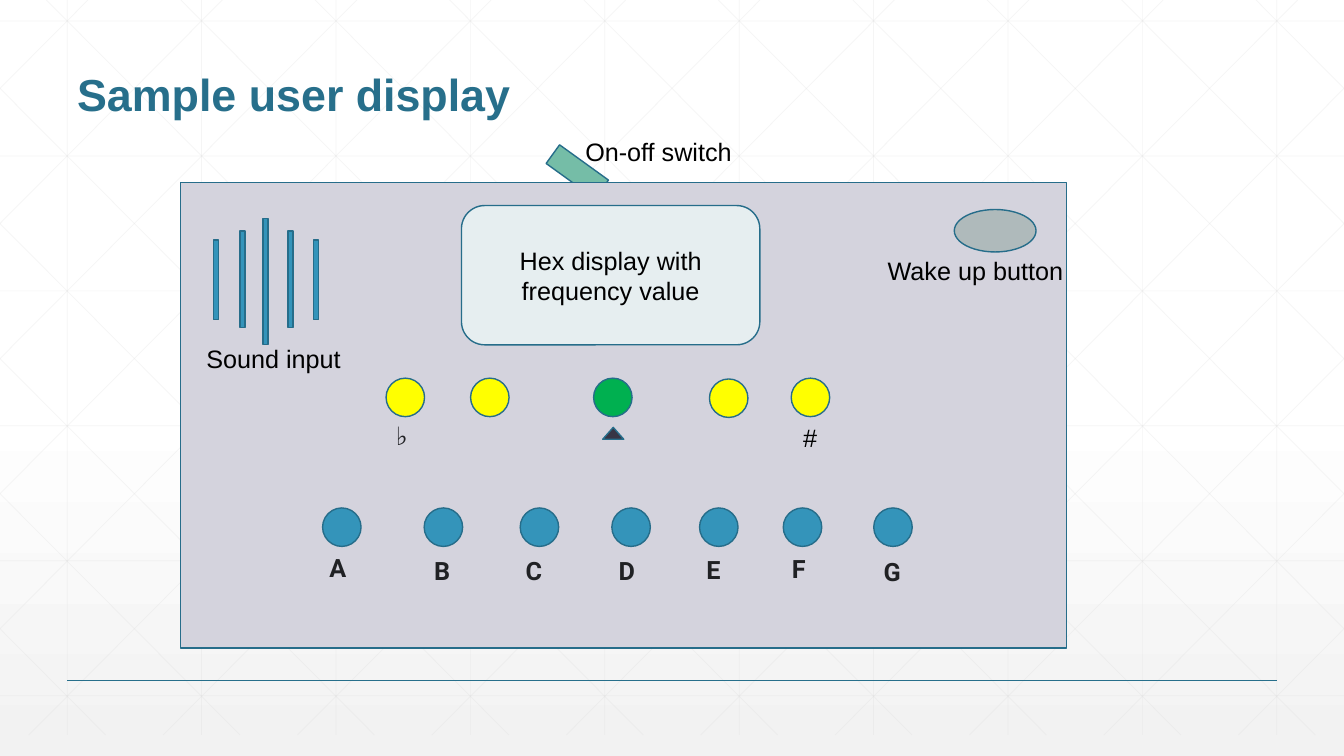
"""Build the slide that shows a sample user display for a note tuner."""
from lxml.etree import SubElement
from pptx import Presentation
from pptx.dml.color import RGBColor
from pptx.enum.shapes import MSO_CONNECTOR, MSO_SHAPE
from pptx.enum.text import MSO_ANCHOR, MSO_AUTO_SIZE, PP_ALIGN
from pptx.oxml.ns import qn
from pptx.util import Cm, Pt

WHITE = RGBColor(0xFF, 0xFF, 0xFF)
PALE_GREY = RGBColor(0xF2, 0xF2, 0xF2)
GRID_GREY = RGBColor(0xD9, 0xD9, 0xD9)
TITLE_BLUE = RGBColor(0x27, 0x6F, 0x8B)
OUTLINE = RGBColor(0x26, 0x6D, 0x8A)
BLUE = RGBColor(0x34, 0x94, 0xBA)
TEAL = RGBColor(0x75, 0xBD, 0xA7)
PANEL_GREY = RGBColor(0xD4, 0xD3, 0xDD)
SCREEN = RGBColor(0xE6, 0xEE, 0xF0)
BUTTON_GREY = RGBColor(0xAF, 0xBA, 0xBB)
MARKER_DARK = RGBColor(0x37, 0x35, 0x45)
YELLOW = RGBColor(0xFF, 0xFF, 0x00)
GREEN = RGBColor(0x00, 0xB0, 0x50)
BLACK = RGBColor(0, 0, 0)
NOTE_DARK = RGBColor(0x20, 0x21, 0x24)

TITLE = "Sample user display"
SCREEN_TEXT = "Hex display with frequency value"
LABELS = [
    ("Sound input", 4.95, 8.53, 3.94),
    ("Wake up button", 22.12, 6.3, 4.98),
    ("On-off switch", 14.5, 3.3, 4.24),
    ("#", 19.99, 10.52, 0.86),
]
FLAT = ("\u266d", 9.73, 10.46, 0.81)
NOTES = [
    ("A", 8.05, 13.79, 0.94),
    ("B", 10.69, 13.87, 0.91),
    ("C", 13.0, 13.87, 0.94),
    ("D", 15.34, 13.87, 0.94),
    ("E", 17.55, 13.84, 0.86),
    ("F", 19.71, 13.82, 0.86),
    ("G", 22.02, 13.89, 0.94),
]
NOTE_LIGHTS = [8.13, 10.69, 13.11, 15.42, 17.63, 19.74, 22.02]
PITCH_LIGHTS = [
    (9.73, 9.53, YELLOW),
    (11.86, 9.53, YELLOW),
    (14.96, 9.53, GREEN),
    (17.88, 9.55, YELLOW),
    (19.94, 9.53, YELLOW),
]
SOUND_BARS = [(5.38, 6.05, 2.01), (6.05, 5.82, 2.44), (6.63, 5.51, 3.18),
              (7.26, 5.82, 2.44), (7.9, 6.05, 2.01)]

WIDTH, HEIGHT = 33.87, 19.05
GRID_BOTTOM = 18.52
COLUMN_PITCH, ROW_PITCH = WIDTH / 10, 3.4
SLOPE = 1.005
LIGHT_SIZE = 0.97


def add_line(start, end, color, points, opacity=None):
    line = slide.shapes.add_connector(
        MSO_CONNECTOR.STRAIGHT, *(Cm(value) for value in (*start, *end)))
    line.line.color.rgb = color
    line.line.width = Pt(points)
    if opacity:
        color_xml = line._element.spPr.find(".//" + qn("a:srgbClr"))
        SubElement(color_xml, qn("a:alpha")).set("val", str(opacity * 1000))
    SubElement(line._element.spPr, qn("a:effectLst"))


def add_part(preset, left, top, width, height, fill):
    part = slide.shapes.add_shape(
        preset, Cm(left), Cm(top), Cm(width), Cm(height))
    part.shadow.inherit = False
    part.fill.solid()
    part.fill.fore_color.rgb = fill
    part.line.color.rgb = OUTLINE
    part.line.width = Pt(1)
    return part


def format_text(frame, size, color, font="Arial", bold=False):
    for run in frame.paragraphs[0].runs:
        run.font.name = font
        run.font.size = Pt(size)
        run.font.bold = bold
        run.font.color.rgb = color


def add_label(text, left, top, width, **style):
    frame = slide.shapes.add_textbox(
        Cm(left), Cm(top), Cm(width), Cm(1.03)).text_frame
    frame.text = text
    frame.word_wrap = False
    frame.auto_size = MSO_AUTO_SIZE.SHAPE_TO_FIT_TEXT
    format_text(frame, 18, **style)


def draw_grid():
    spans = []
    for column in range(10):
        x = COLUMN_PITCH * (column + 0.5)
        spans.append(((x, 0), (x, GRID_BOTTOM)))
    for row in range(6):
        y = 0.53 + ROW_PITCH * row
        spans.append(((0, y), (WIDTH, y)))
    for step in range(-5, 10):
        origin = 1.17 + COLUMN_PITCH * step
        left = max(origin, 0)
        right = min(origin + GRID_BOTTOM / SLOPE, WIDTH)
        top, bottom = ((x - origin) * SLOPE for x in (left, right))
        spans.append(((left, top), (right, bottom)))
        spans.append(((WIDTH - left, top), (WIDTH - right, bottom)))
    for start, end in spans:
        add_line(start, end, GRID_GREY, 0.5, opacity=25)


deck = Presentation()
deck.slide_width, deck.slide_height = Cm(WIDTH), Cm(HEIGHT)
slide = deck.slides.add_slide(deck.slide_layouts[5])

backdrop = slide.background.fill
backdrop.gradient()
backdrop.gradient_angle = 270
for stop, color, position in zip(
        backdrop.gradient_stops, (WHITE, PALE_GREY), (0.53, 1)):
    stop.color.rgb = color
    stop.position = position

draw_grid()
add_line((1.69, 17.15), (32.17, 17.15), TITLE_BLUE, 1)

switch = add_part(MSO_SHAPE.RECTANGLE, 13.79, 4.04, 1.52, 0.58, TEAL)
switch.rotation = 35.8

title = slide.shapes.title
slide.shapes._spTree.append(title._element)
title.left, title.top, title.width, title.height = (
    Cm(1.69), Cm(0.64), Cm(30.48), Cm(2.54))
heading = title.text_frame
heading.text = TITLE
heading.auto_size = MSO_AUTO_SIZE.NONE
heading.vertical_anchor = MSO_ANCHOR.BOTTOM
heading.paragraphs[0].alignment = PP_ALIGN.LEFT
heading.paragraphs[0].line_spacing = 0.9
format_text(heading, 32, TITLE_BLUE, bold=True)

add_part(MSO_SHAPE.RECTANGLE, 4.55, 4.6, 22.33, 11.73, PANEL_GREY)
screen = add_part(
    MSO_SHAPE.ROUNDED_RECTANGLE, 11.63, 5.18, 7.52, 3.51, SCREEN).text_frame
screen.text = SCREEN_TEXT
screen.word_wrap = True
screen.vertical_anchor = MSO_ANCHOR.MIDDLE
screen.paragraphs[0].alignment = PP_ALIGN.CENTER
format_text(screen, 18, BLACK)

note_lights = [(left, 12.8, BLUE) for left in NOTE_LIGHTS]
for left, top, color in PITCH_LIGHTS + note_lights:
    add_part(MSO_SHAPE.OVAL, left, top, LIGHT_SIZE, LIGHT_SIZE, color)
add_part(MSO_SHAPE.ISOSCELES_TRIANGLE, 15.19, 10.77, 0.53, 0.3, MARKER_DARK)
add_part(MSO_SHAPE.OVAL, 24.05, 5.28, 2.06, 1.07, BUTTON_GREY)
for left, top, height in SOUND_BARS:
    add_part(MSO_SHAPE.RECTANGLE, left, top, 0.13, height, BLUE)

for label in LABELS:
    add_label(*label, color=BLACK)
for note in [FLAT] + NOTES:
    add_label(*note, color=NOTE_DARK, font="Roboto", bold=True)

deck.save("out.pptx")
